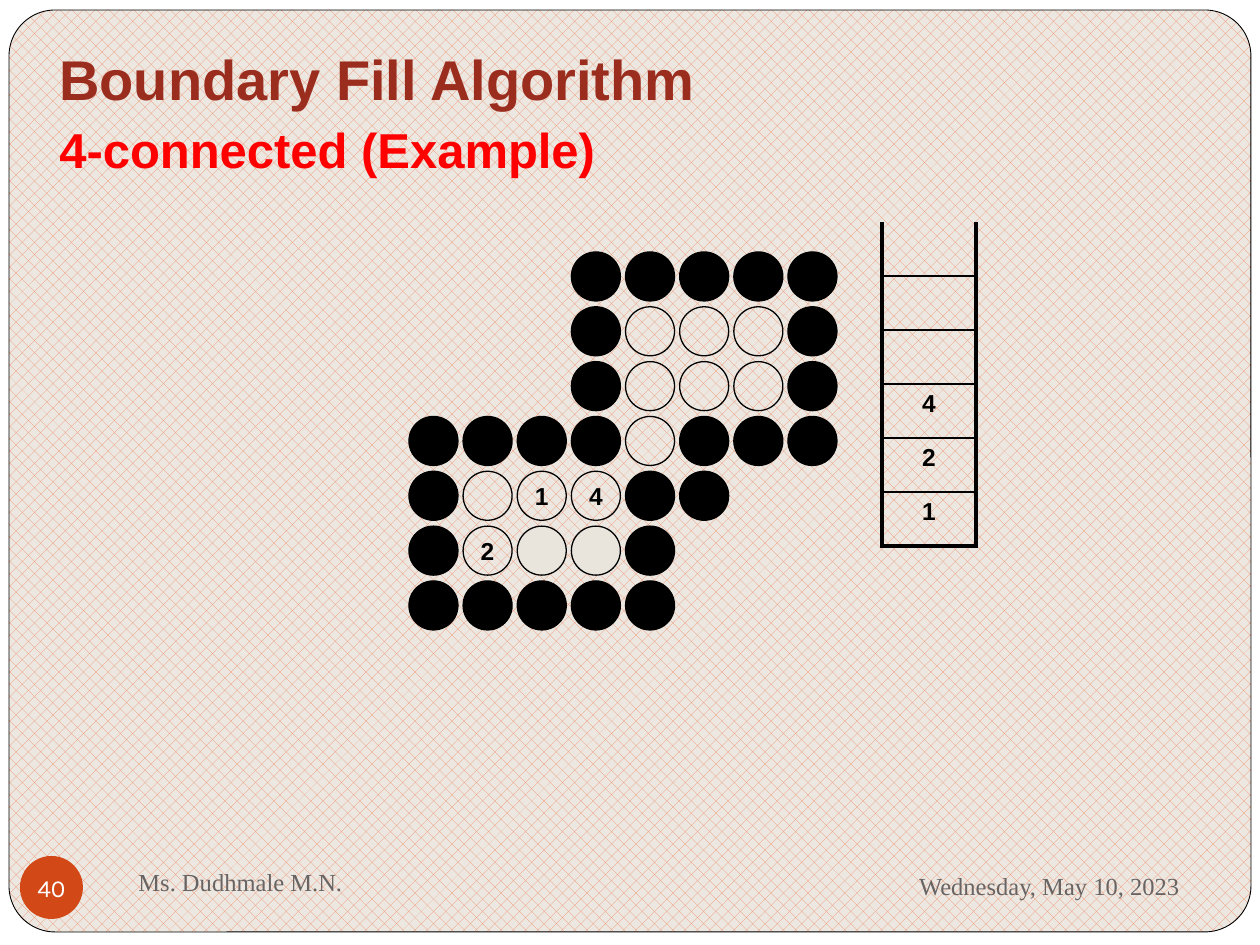
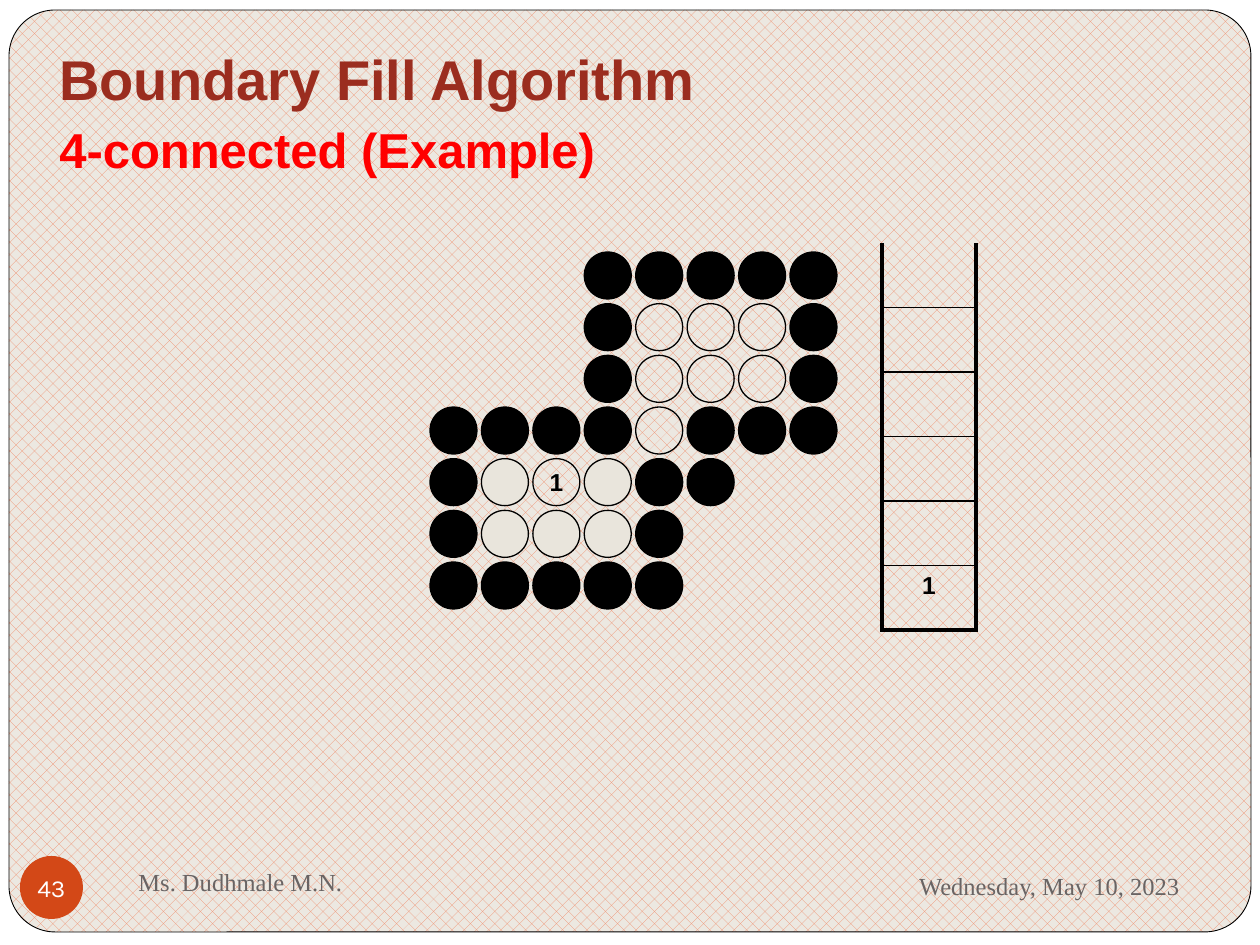
from lxml.etree import SubElement
from pptx import Presentation
from pptx.dml.color import RGBColor
from pptx.enum.dml import MSO_PATTERN
from pptx.enum.shapes import MSO_SHAPE as Preset
from pptx.enum.text import MSO_ANCHOR as Anchor, PP_ALIGN as Align
from pptx.oxml.ns import qn
from pptx.util import Pt

EMU_PER_PX = 914400 / 126
COLORS = {
    "white": "FFFFFF", "paper": "ECE8E1", "weave": "EF8C6A", "ink": "000000",
    "title": "9B2D1F", "subtitle": "FF0000", "footer": "696464",
    "badge": "D34817", "filled": "E9E5DC",
}
REGION = [
    "...#####",
    "...#ooo#",
    "...#ooo#",
    "####o###",
    "#{}##..",
    "#{}#...",
    "#####...",
]
STEPS = [
    {"number": "40", "interior": ("o14", "2ff"), "diameter": 49,
     "grid": (409, 252, 428, 378), "stack": (882, 222, 94, 324),
     "pending": ["", "", "", "4", "2", "1"]},
    {"number": "43", "interior": ("f1f", "fff"), "diameter": 47,
     "grid": (430, 252, 407, 357), "stack": (882, 243, 94, 387),
     "pending": ["", "", "", "", "", "1"]},
]


def px(length):
    return round(length * EMU_PER_PX)


def emu_box(box):
    return [px(length) for length in box]


def color(name):
    return RGBColor.from_string(COLORS[name])


def write(paragraph, text, size, shade, face="Arial", bold=False, align=Align.LEFT):
    paragraph.text = text
    paragraph.alignment = align
    font = paragraph.font
    font.name, font.size, font.bold = face, Pt(size), bold
    font.color.rgb = color(shade)


def write_digit(paragraph, digit):
    write(paragraph, digit, 14, "ink", bold=True, align=Align.CENTER)


def add_outline(shapes, preset, box, fill=None, line=None, width=0.75):
    outline = shapes.add_shape(preset, *emu_box(box))
    outline.shadow.inherit = False
    if fill:
        outline.fill.solid()
        outline.fill.fore_color.rgb = color(fill)
    else:
        outline.fill.background()
    if line:
        outline.line.color.rgb = color(line)
        outline.line.width = Pt(width)
    else:
        outline.line.fill.background()
    return outline


def center_frame(shape):
    frame = shape.text_frame
    frame.word_wrap = False
    frame.vertical_anchor = Anchor.MIDDLE
    frame.margin_left = frame.margin_right = frame.margin_top = frame.margin_bottom = 0
    return frame.paragraphs[0]


def add_text_frame(slide, box, anchor):
    frame = slide.shapes.add_textbox(*emu_box(box)).text_frame
    frame.word_wrap = True
    frame.vertical_anchor = anchor
    return frame


def add_backdrop(slide, box):
    slide.background.fill.solid()
    slide.background.fill.fore_color.rgb = color("white")
    card = add_outline(slide.shapes, Preset.ROUNDED_RECTANGLE, box, line="ink", width=0.5)
    card.adjustments[0] = 0.05
    card.fill.patterned()
    card.fill.pattern = MSO_PATTERN.PERCENT_30
    card.fill.fore_color.rgb = color("weave")
    card.fill.back_color.rgb = color("paper")


def add_title(slide, box):
    frame = add_text_frame(slide, box, Anchor.TOP)
    frame.margin_top = px(12)
    write(frame.paragraphs[0], "Boundary Fill Algorithm", 32, "title", bold=True)
    subtitle = frame.add_paragraph()
    write(subtitle, "4-connected (Example)", 28, "subtitle", bold=True)
    subtitle.space_before = Pt(5)


def add_footer(slide, box, number):
    left, top, width, height = box
    badge = add_outline(slide.shapes, Preset.OVAL, (left, top + 6, 63, 63), fill="badge")
    write(center_frame(badge), number, 14, "white", "Karla", align=Align.CENTER)
    author = add_text_frame(slide, (left + 106, top, 546, 63), Anchor.MIDDLE)
    write(author.paragraphs[0], "Ms. Dudhmale M.N.", 14, "footer", "Times New Roman")
    date = add_text_frame(slide, (left + width - 341, top + 3, 341, height - 3), Anchor.MIDDLE)
    write(date.paragraphs[0], "Wednesday, May 10, 2023", 14, "footer",
          "Times New Roman", align=Align.RIGHT)


def add_pixel_grid(slide, box, diameter, interior):
    left, top, width, height = box
    rows = "\n".join(REGION).format(*interior).split("\n")
    step_x = (width - diameter) / (len(rows[0]) - 1)
    step_y = (height - diameter) / (len(rows) - 1)
    fills = {"#": "ink", "f": "filled"}
    pixels = slide.shapes.add_group_shape().shapes
    for row, marks in enumerate(rows):
        for column, mark in enumerate(marks):
            if mark == ".":
                continue
            spot = (left + column * step_x, top + row * step_y, diameter, diameter)
            pixel = add_outline(pixels, Preset.OVAL, spot, fills.get(mark), "ink")
            if mark.isdigit():
                write_digit(center_frame(pixel), mark)


def set_borders(cell, **widths):
    properties = cell._tc.get_or_add_tcPr()
    for side in "LRTB":
        width = widths[side]
        border = SubElement(properties, qn(f"a:ln{side}"), w=str(Pt(width)))
        if width:
            fill = SubElement(border, qn("a:solidFill"))
            SubElement(fill, qn("a:srgbClr"), val=COLORS["ink"])
        else:
            SubElement(border, qn("a:noFill"))


def add_stack(slide, box, pending):
    count = len(pending)
    table = slide.shapes.add_table(count, 1, *emu_box(box)).table
    table.first_row = table.horz_banding = False
    for level, digit in enumerate(pending):
        table.rows[level].height = px(box[3] / count)
        cell = table.cell(level, 0)
        set_borders(cell, L=2.25, R=2.25, T=1 if level else 0,
                    B=2.25 if level == count - 1 else 1)
        cell.fill.background()
        write_digit(cell.text_frame.paragraphs[0], digit)


def add_step_slide(deck, step):
    slide = deck.slides.add_slide(deck.slide_layouts[6])
    add_backdrop(slide, (9, 10, 1242, 922))
    add_footer(slide, (20, 850, 1172, 69), step["number"])
    add_pixel_grid(slide, step["grid"], step["diameter"], step["interior"])
    add_stack(slide, step["stack"], step["pending"])
    add_title(slide, (47, 32, 1166, 147))


def main():
    deck = Presentation()
    deck.slide_width, deck.slide_height = px(1260), px(945)
    for step in STEPS:
        add_step_slide(deck, step)
    deck.save("out.pptx")


if __name__ == "__main__":
    main()
